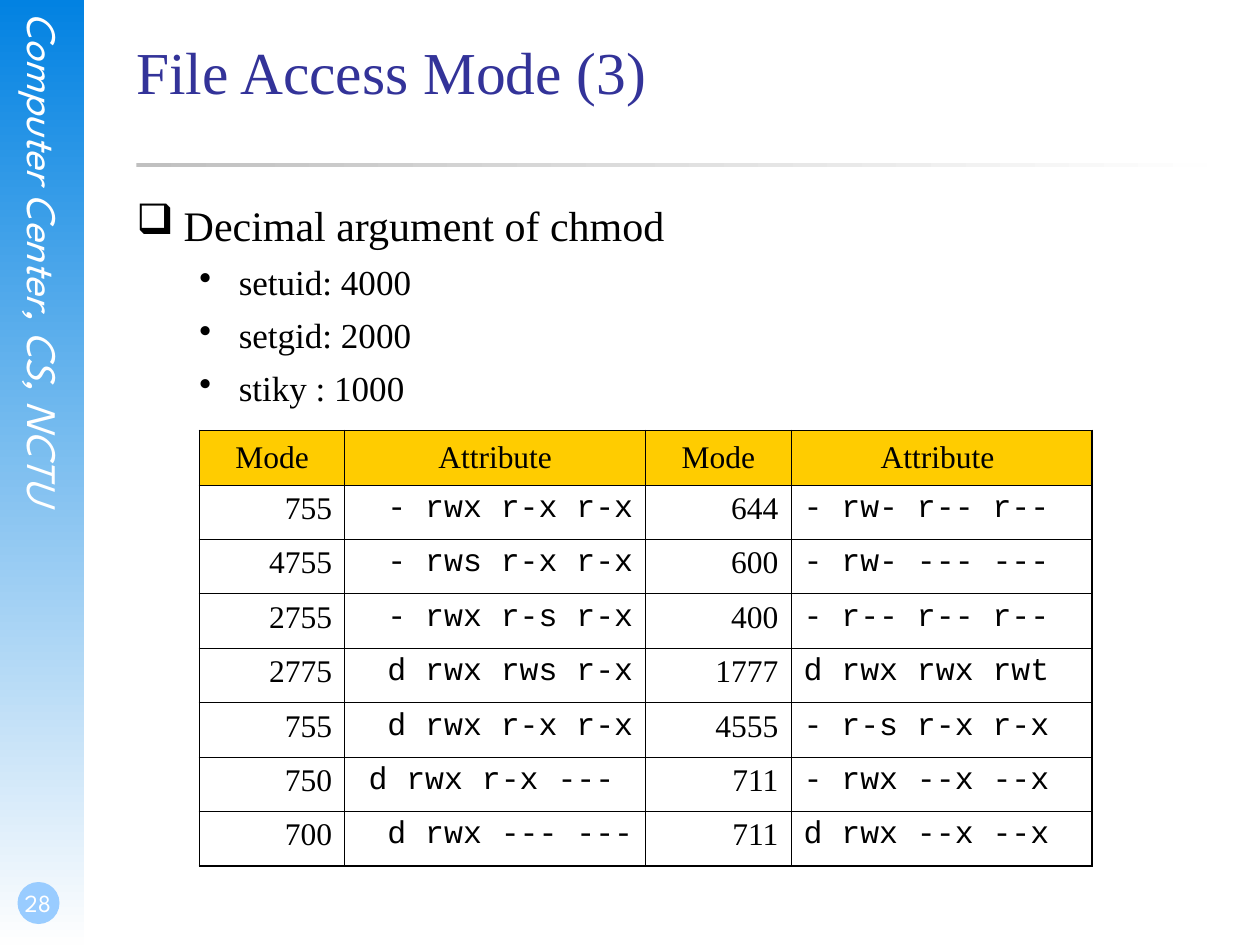
from lxml.etree import SubElement as Sub
from pptx import Presentation
from pptx.dml.color import RGBColor as Rgb
from pptx.enum.shapes import MSO_SHAPE as Shape
from pptx.enum.text import MSO_ANCHOR as Anchor, PP_ALIGN as Align
from pptx.oxml.ns import qn
from pptx.util import Pt

HUES = {
    "blue": "0282E2", "pale": "FEFEFE", "gray": "C0C0C0", "disc": "99CCFF",
    "title": "333399", "head": "FFCC00", "ink": "000000", "white": "FFFFFF",
}
SERIF, MONO, SIDE = "Times New Roman", "Courier New", "League Spartan"

deck = Presentation()
deck.slide_width, deck.slide_height = Pt(720), Pt(540)
slide = deck.slides.add_slide(deck.slide_layouts[6])


def add_run(para, text, size, face, hue="ink"):
    run = para.add_run()
    run.text = text
    run.font.size = Pt(size)
    run.font.name = face
    run.font.color.rgb = Rgb.from_string(HUES[hue])
    return run


def add_box(left, top, width, height):
    box = slide.shapes.add_textbox(Pt(left), Pt(top), Pt(width), Pt(height))
    frame = box.text_frame
    frame.word_wrap = True
    frame.margin_left = frame.margin_top = 0
    frame.margin_right = frame.margin_bottom = 0
    return frame


bars = [
    ((0, 0, 48, 540), 270, ("blue", "pale")),
    ((78, 93, 612, 2.6), 0, ("gray", "pale")),
]
for place, angle, ends in bars:
    bar = slide.shapes.add_shape(Shape.RECTANGLE, *map(Pt, place))
    bar.shadow.inherit = False
    bar.line.fill.background()
    bar.fill.gradient()
    bar.fill.gradient_angle = angle
    for stop, hue in zip(bar.fill.gradient_stops, ends):
        stop.color.rgb = Rgb.from_string(HUES[hue])

side = add_box(10.8, 7.2, 28.8, 368)
side._txBody.bodyPr.set("vert", "eaVert")
line = side.paragraphs[0]
line.alignment = Align.CENTER
add_run(line, "Computer Center, CS, NCTU", 24, SIDE, "white").font.italic = True

disc = slide.shapes.add_shape(Shape.OVAL, Pt(10), Pt(504), Pt(24), Pt(24))
disc.shadow.inherit = False
disc.line.fill.background()
disc.fill.solid()
disc.fill.fore_color.rgb = Rgb.from_string(HUES["disc"])

page = add_box(0, 492, 42, 36)
page.vertical_anchor = Anchor.BOTTOM
page.margin_left, page.margin_bottom = Pt(1.5), Pt(3.6)
line = page.paragraphs[0]
line.alignment = Align.CENTER
add_run(line, "28", 14, SIDE, "white")

title = add_box(78, 20, 612, 90)
add_run(title.paragraphs[0], "File Access Mode (3)", 34, SERIF, "title")

body = add_box(78, 114, 612, 366)
items = [
    ("Decimal argument of chmod", 0),
    ("setuid: 4000", 1),
    ("setgid: 2000", 1),
    ("stiky : 1000", 1),
]
levels = [(24, 27, 27, "❑"), (20, 58.5, 22.5, "•")]
for num, (text, level) in enumerate(items):
    size, left, hang, mark = levels[level]
    para = body.add_paragraph() if num else body.paragraphs[0]
    para.level = level
    if num:
        para.space_before = Pt(6.25)
    props = para._p.get_or_add_pPr()
    props.set("marL", str(Pt(left)))
    props.set("indent", str(-Pt(hang)))
    Sub(props, qn("a:buChar"), char=mark)
    add_run(para, text, size, SERIF)

rows = [
    ("Mode", "Attribute", "Mode", "Attribute "),
    ("755", "- rwx r-x r-x", "644", "- rw- r-- r--"),
    ("4755", "- rws r-x r-x", "600", "- rw- --- ---"),
    ("2755", "- rwx r-s r-x", "400", "- r-- r-- r--"),
    ("2775", "d rwx rws r-x", "1777", "d rwx rwx rwt"),
    ("755", "d rwx r-x r-x", "4555", "- r-s r-x r-x"),
    ("750", "d rwx r-x --- ", "711", "- rwx --x --x"),
    ("700", "d rwx --- ---", "711", "d rwx --x --x"),
]
wides = [83, 172, 83, 172]
tall = 31.1
last_row, last_col = len(rows) - 1, len(wides) - 1
table = slide.shapes.add_table(
    len(rows), len(wides), Pt(114), Pt(246), Pt(sum(wides)), Pt(tall * len(rows))
).table
table.first_row = table.horz_banding = False
for col, wide in zip(table.columns, wides):
    col.width = Pt(wide)

for r, texts in enumerate(rows):
    table.rows[r].height = Pt(tall)
    for c, text in enumerate(texts):
        cell = table.cell(r, c)
        para = cell.text_frame.paragraphs[0]
        face = SERIF if r == 0 or c % 2 == 0 else MONO
        add_run(para, text, 18, face)
        edges = {
            "a:lnL": c == 0, "a:lnR": c == last_col,
            "a:lnT": r == 0, "a:lnB": r == last_row,
        }
        props = cell._tc.get_or_add_tcPr()
        for tag, outer in edges.items():
            edge = Sub(props, qn(tag), w=str(Pt(1.08 if outer else 0.45)))
            fill = Sub(edge, qn("a:solidFill"))
            Sub(fill, qn("a:srgbClr"), val=HUES["ink"])
        if r == 0:
            para.alignment = Align.CENTER
            cell.vertical_anchor = Anchor.MIDDLE
            cell.fill.solid()
            cell.fill.fore_color.rgb = Rgb.from_string(HUES["head"])
        else:
            para.alignment = Align.LEFT if c == last_col else Align.RIGHT
            cell.fill.background()

deck.save("out.pptx")
